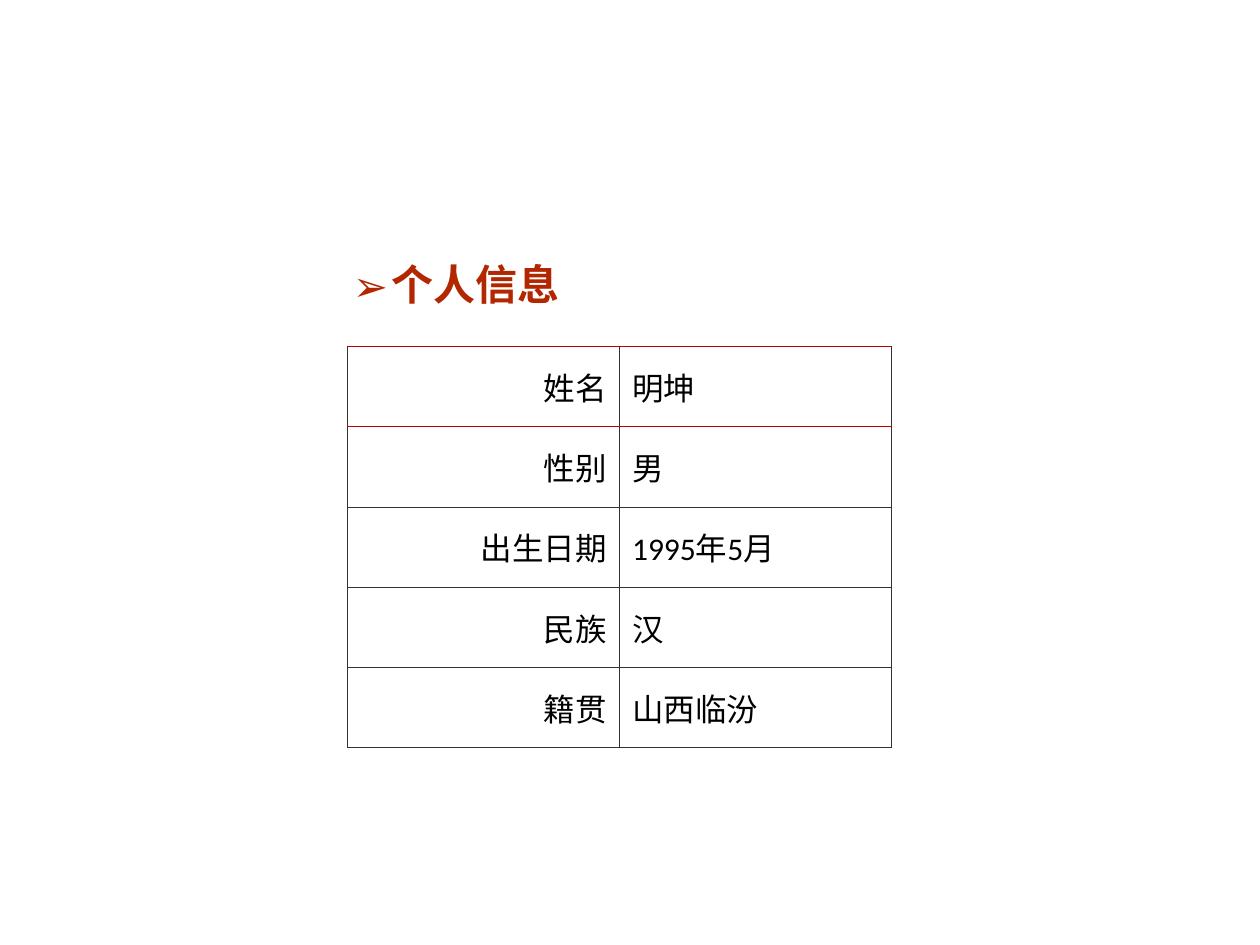
from dataclasses import dataclass

from lxml.etree import SubElement
from pptx import Presentation
from pptx.dml.color import RGBColor
from pptx.enum.text import MSO_ANCHOR, MSO_AUTO_SIZE, PP_ALIGN
from pptx.oxml import parse_xml
from pptx.oxml.ns import nsdecls, qn
from pptx.util import Pt


@dataclass(frozen=True)
class Theme:
    heading: str = "B22600"
    text: str = "000000"
    accent_line: str = "C00000"
    line: str = "333333"
    heading_size: float = 24
    text_size: float = 18
    line_width: float = 0.45
    latin_font: str = "Calibri"
    chinese_font: str = "Noto Sans CJK SC"


@dataclass(frozen=True)
class Box:
    left: float
    top: float
    width: float
    height: float

    def lengths(self):
        return [Pt(n) for n in (self.left, self.top, self.width, self.height)]


THEME = Theme()
PERSONAL_INFO = [
    ("姓名", "明坤"),
    ("性别", "男"),
    ("出生日期", "1995年5月"),
    ("民族", "汉"),
    ("籍贯", "山西临汾"),
]


def style_run(run, latin, size, color, bold=False):
    run.font.name = latin
    run.font.size = Pt(size)
    run.font.bold = bold
    run.font.color.rgb = RGBColor.from_string(color)
    SubElement(run.font._element, qn("a:ea"), typeface=THEME.chinese_font)


def add_arrow_bullet(paragraph, indent):
    properties = paragraph._p.get_or_add_pPr()
    properties.set("marL", str(Pt(indent)))
    properties.set("indent", str(-Pt(indent)))
    bullet_color = SubElement(properties, qn("a:buClr"))
    SubElement(bullet_color, qn("a:srgbClr"), val=THEME.heading)
    SubElement(properties, qn("a:buFont"), typeface=THEME.chinese_font)
    SubElement(properties, qn("a:buChar"), char="➢")


def set_borders(cell, horizontal):
    sides = {"lnL": THEME.line, "lnR": THEME.line, "lnT": horizontal[0], "lnB": horizontal[1]}
    for position, (side, color) in enumerate(sides.items()):
        border = parse_xml(
            f'<a:{side} {nsdecls("a")} w="{Pt(THEME.line_width)}">'
            f'<a:solidFill><a:srgbClr val="{color}"/></a:solidFill></a:{side}>'
        )
        cell._tc.get_or_add_tcPr().insert(position, border)


def place_heading(slide, box):
    heading = slide.shapes.title
    heading.left, heading.top, heading.width, heading.height = box.lengths()
    frame = heading.text_frame
    frame.text = "个人信息"
    frame.word_wrap = True
    frame.auto_size = MSO_AUTO_SIZE.NONE
    frame.vertical_anchor = MSO_ANCHOR.TOP
    paragraph = frame.paragraphs[0]
    paragraph.alignment = PP_ALIGN.LEFT
    add_arrow_bullet(paragraph, 22.3)
    style_run(paragraph.runs[0], THEME.chinese_font, THEME.heading_size, THEME.heading, True)


def place_info_table(slide, box):
    table = slide.shapes.add_table(len(PERSONAL_INFO), 2, *box.lengths()).table
    table.first_row = False
    table.horz_banding = False
    rules = [THEME.accent_line] * 2 + [THEME.line] * (len(PERSONAL_INFO) - 1)
    for row, entry in enumerate(PERSONAL_INFO):
        for column, (wording, alignment) in enumerate(zip(entry, (PP_ALIGN.RIGHT, PP_ALIGN.LEFT))):
            cell = table.cell(row, column)
            cell.text_frame.text = wording
            cell.vertical_anchor = MSO_ANCHOR.MIDDLE
            cell.fill.background()
            set_borders(cell, rules[row:row + 2])
            paragraph = cell.text_frame.paragraphs[0]
            paragraph.alignment = alignment
            style_run(paragraph.runs[0], THEME.latin_font, THEME.text_size, THEME.text)


def main():
    presentation = Presentation()
    presentation.slide_width, presentation.slide_height = Pt(720), Pt(540)
    slide = presentation.slides.add_slide(presentation.slide_layouts[5])
    place_heading(slide, Box(194.4, 144, 138, 36))
    place_info_table(slide, Box(198.5, 198, 311, 229.2))
    presentation.save("out.pptx")


if __name__ == "__main__":
    main()
